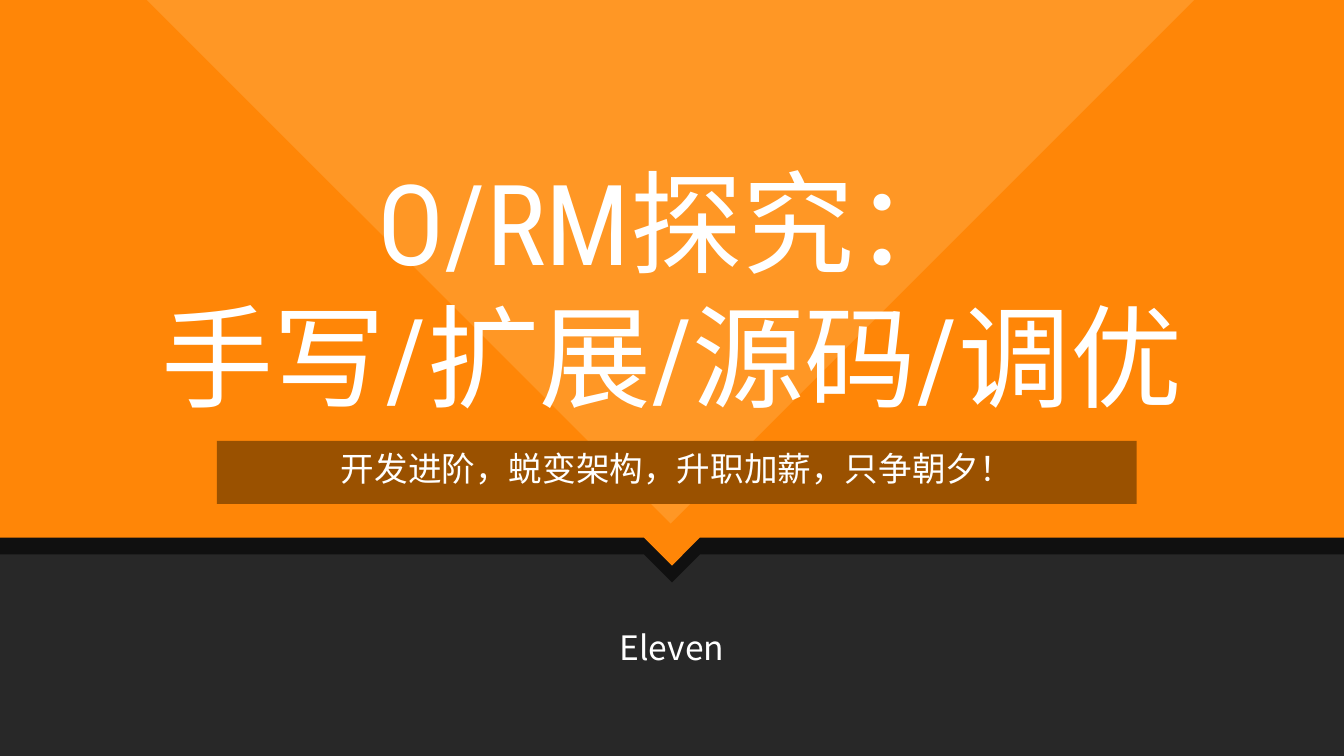
from dataclasses import dataclass

import pptx
import pptx.dml.color
import pptx.enum.shapes
import pptx.enum.text
import pptx.oxml.ns
import pptx.util
from lxml import etree

PX = 9525  # EMU in one px, 96 px to the inch
WIDE, HIGH = 960, 540


@dataclass(frozen=True)
class Theme:
    dark: str = "282828"
    shade: str = "000000"
    orange: str = "FF8607"
    beam: str = "FF9725"
    brown: str = "9A5100"
    white: str = "FFFFFF"
    head: str = "Roboto Condensed"
    body: str = "Noto Sans CJK SC"
    big: int = 60
    small: int = 18


@dataclass(frozen=True)
class Box:
    left: int
    top: int
    width: int
    height: int


@dataclass(frozen=True)
class Shape:
    points: tuple[tuple[int, int], ...]
    color: str
    alpha: int = 100


@dataclass(frozen=True)
class Label:
    box: Box
    lines: tuple[str, ...]
    font: str
    size: int


THEME = Theme()


def banner(top: int) -> tuple[tuple[int, int], ...]:
    """Outline of a full-width band with a pointed notch below its middle."""
    mid, half, edge = WIDE // 2, 20, top + 384
    return ((0, top), (WIDE, top), (WIDE, edge), (mid + half, edge),
            (mid, edge + half), (mid - half, edge), (0, edge))


SHAPES = (
    Shape(banner(12), THEME.shade, 60),
    Shape(banner(0), THEME.orange),
    Shape(((105, 0), (853, 0), (479, 374)), THEME.beam),
)
STRIP = Box(155, 315, 657, 45)
LABELS = (
    Label(Box(0, 104, WIDE, 203), ("O/RM探究：", "手写/扩展/源码/调优"), THEME.head, THEME.big),
    Label(Box(155, 315, 657, 38), ("开发进阶，蜕变架构，升职加薪，只争朝夕！",), THEME.body, THEME.small),
    Label(Box(0, 443, WIDE, 38), ("Eleven",), THEME.body, THEME.small),
)


def rgb(color: str) -> pptx.dml.color.RGBColor:
    return pptx.dml.color.RGBColor.from_string(color)


def place(box: Box) -> tuple[int, ...]:
    return tuple(n * PX for n in (box.left, box.top, box.width, box.height))


def paint(shape, color: str, alpha: int = 100) -> None:
    shape.shadow.inherit = False
    shape.fill.solid()
    shape.fill.fore_color.rgb = rgb(color)
    shape.line.fill.background()
    if alpha < 100:
        qn = pptx.oxml.ns.qn
        tint = shape.fill._xPr.find(".//" + qn("a:srgbClr"))
        etree.SubElement(tint, qn("a:alpha"), val=str(alpha * 1000))


def draw_rect(slide, box: Box, color: str) -> None:
    kind = pptx.enum.shapes.MSO_SHAPE.RECTANGLE
    paint(slide.shapes.add_shape(kind, *place(box)), color)


def draw_shape(slide, item: Shape) -> None:
    start, *rest = item.points
    pen = slide.shapes.build_freeform(*start, scale=PX)
    pen.add_line_segments(rest, close=True)
    paint(pen.convert_to_shape(), item.color, item.alpha)


def draw_label(slide, item: Label) -> None:
    frame = slide.shapes.add_textbox(*place(item.box)).text_frame
    frame.word_wrap = True
    frame.vertical_anchor = pptx.enum.text.MSO_ANCHOR.MIDDLE
    frame.text = "\n".join(item.lines)
    for para in frame.paragraphs:
        para.alignment = pptx.enum.text.PP_ALIGN.CENTER
        para.font.name = item.font
        para.font.size = pptx.util.Pt(item.size)
        para.font.color.rgb = rgb(THEME.white)


def main() -> None:
    deck = pptx.Presentation()
    deck.slide_width, deck.slide_height = WIDE * PX, HIGH * PX
    slide = deck.slides.add_slide(deck.slide_layouts[6])
    draw_rect(slide, Box(0, 0, WIDE, HIGH), THEME.dark)
    for item in SHAPES:
        draw_shape(slide, item)
    draw_rect(slide, STRIP, THEME.brown)
    for item in LABELS:
        draw_label(slide, item)
    deck.save("out.pptx")


if __name__ == "__main__":
    main()
